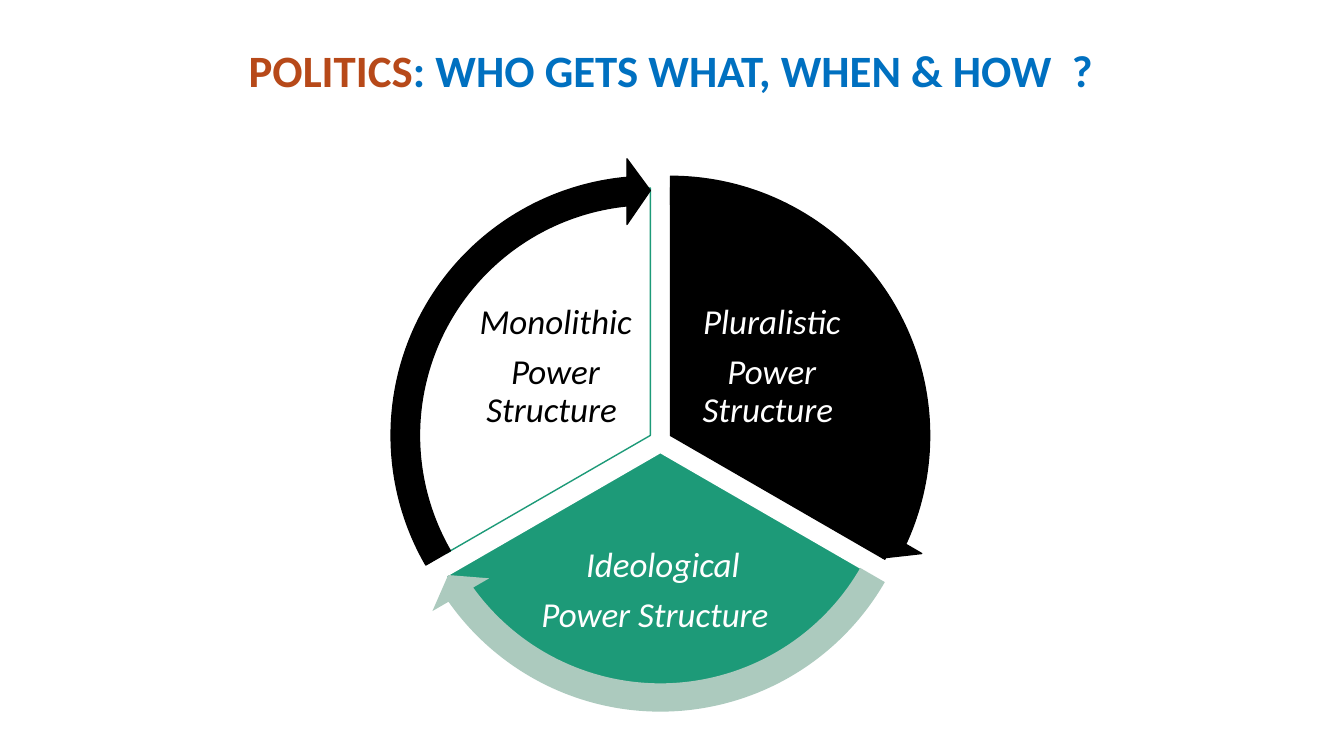
"""Build the slide on three power structures as a cycle of pie sectors."""
from dataclasses import dataclass

from pptx import Presentation
from pptx.dml.color import RGBColor
from pptx.enum.shapes import MSO_SHAPE
from pptx.enum.text import MSO_ANCHOR, PP_ALIGN
from pptx.util import Inches, Pt

PIE, CIRCULAR_ARROW = MSO_SHAPE.PIE, MSO_SHAPE.CIRCULAR_ARROW
MIDDLE, CENTER = MSO_ANCHOR.MIDDLE, PP_ALIGN.CENTER
TITLE_ONLY = 5
PIE_SIZE, ARROW_SIZE = 4.91, 5.51
SWEEP, HEAD_ANGLE = 120, 5.46
ADJUSTMENT_PER_DEGREE = 0.6
BAND_THICKNESS, HEAD_WIDTH = 0.051, 0.059


@dataclass(frozen=True)
class Theme:
    font: str = "Calibri"
    title_size: float = 32
    label_size: float = 25
    label_gap: float = 8.75
    line_width: float = 1
    black: str = "000000"
    white: str = "FFFFFF"
    green: str = "1D9A78"
    pale_green: str = "ACCABE"
    rust: str = "B74919"
    blue: str = "0070C0"


THEME = Theme()


@dataclass(frozen=True)
class Sector:
    label: tuple[str, str]
    label_box: tuple[float, float, float, float]
    label_color: str
    center: tuple[float, float]
    start: float
    fill: str
    outline: str
    arrow_fill: str
    arrow_outline: str | None
    pie_width: float = PIE_SIZE


SECTORS = (
    Sector(("Pluralistic", "Power Structure "), (6.78, 2.91, 1.75, 1.46), THEME.white,
           (6.65, 4.32), 270, THEME.black, THEME.black, THEME.black, THEME.black),
    Sector(("Ideological", "Power Structure  "), (5.26, 5.22, 2.63, 1.29), THEME.white,
           (6.55, 4.49), 30, THEME.green, THEME.white, THEME.pale_green, None),
    Sector(("Monolithic", "Power Structure "), (4.69, 2.91, 1.64, 1.46), THEME.black,
           (6.45, 4.32), 150, THEME.white, THEME.green, THEME.black, THEME.black, 4.59),
)


def rgb(color: str) -> RGBColor:
    """Turn a hex string into a colour."""
    return RGBColor.from_string(color)


def add_round(slide, kind, center: tuple[float, float], width: float, height: float,
              adjustments: tuple[float, ...], fill: str, outline: str | None) -> None:
    """Draw a round preset shape about its centre."""
    x, y = center
    part = slide.shapes.add_shape(kind, Inches(x - width / 2), Inches(y - height / 2),
                                  Inches(width), Inches(height))
    for index, value in enumerate(adjustments):
        part.adjustments[index] = value
    part.shadow.inherit = False
    part.fill.solid()
    part.fill.fore_color.rgb = rgb(fill)
    if outline is None:
        part.line.fill.background()
    else:
        part.line.color.rgb = rgb(outline)
        part.line.width = Pt(THEME.line_width)


def add_pie(slide, sector: Sector) -> None:
    """Draw the wedge of a sector."""
    end = (sector.start + SWEEP) % 360
    angles = (sector.start * ADJUSTMENT_PER_DEGREE, end * ADJUSTMENT_PER_DEGREE)
    add_round(slide, PIE, sector.center, sector.pie_width, PIE_SIZE, angles,
              sector.fill, sector.outline)


def add_arrow(slide, sector: Sector) -> None:
    """Draw the curved arrow along the rim of a sector."""
    end = (sector.start + SWEEP) % 360
    adjustments = (BAND_THICKNESS, HEAD_ANGLE * ADJUSTMENT_PER_DEGREE,
                   (end - HEAD_ANGLE) * ADJUSTMENT_PER_DEGREE,
                   sector.start * ADJUSTMENT_PER_DEGREE, HEAD_WIDTH)
    add_round(slide, CIRCULAR_ARROW, sector.center, ARROW_SIZE, ARROW_SIZE, adjustments,
              sector.arrow_fill, sector.arrow_outline)


def add_label(slide, sector: Sector) -> None:
    """Write the name of a sector."""
    frame = slide.shapes.add_textbox(*map(Inches, sector.label_box)).text_frame
    frame.word_wrap = True
    frame.vertical_anchor = MIDDLE
    frame.margin_left = frame.margin_right = Inches(0.03)
    frame.margin_top = frame.margin_bottom = Inches(0.03)
    frame.text = "\n".join(sector.label)
    for paragraph in frame.paragraphs:
        paragraph.alignment = CENTER
        paragraph.line_spacing = 0.9
        paragraph.space_after = Pt(THEME.label_gap)
        paragraph.font.name = THEME.font
        paragraph.font.size = Pt(THEME.label_size)
        paragraph.font.italic = True
        paragraph.font.color.rgb = rgb(sector.label_color)


def add_title(slide) -> None:
    """Fill the title placeholder with its two-coloured heading."""
    title = slide.shapes.title
    title.left, title.top, title.width, title.height = map(Inches, (1.76, 0.1, 9.79, 1.24))
    title.text_frame.word_wrap = True
    title.text_frame.vertical_anchor = MIDDLE
    heading = title.text_frame.paragraphs[0]
    heading.alignment = CENTER
    heading.line_spacing = 0.9
    heading.font.name = THEME.font
    heading.font.size = Pt(THEME.title_size)
    heading.font.bold = True
    for words, color in (("POLITICS", THEME.rust),
                         (": WHO GETS WHAT, WHEN & HOW  ?", THEME.blue)):
        run = heading.add_run()
        run.text = words
        run.font.color.rgb = rgb(color)


def main() -> None:
    """Build and save the slide."""
    presentation = Presentation()
    presentation.slide_width, presentation.slide_height = Inches(13.33), Inches(7.5)
    slide = presentation.slides.add_slide(presentation.slide_layouts[TITLE_ONLY])
    add_title(slide)
    for sector in SECTORS:
        add_pie(slide, sector)
        add_label(slide, sector)
    for sector in SECTORS:
        add_arrow(slide, sector)
    presentation.save("out.pptx")


if __name__ == "__main__":
    main()
